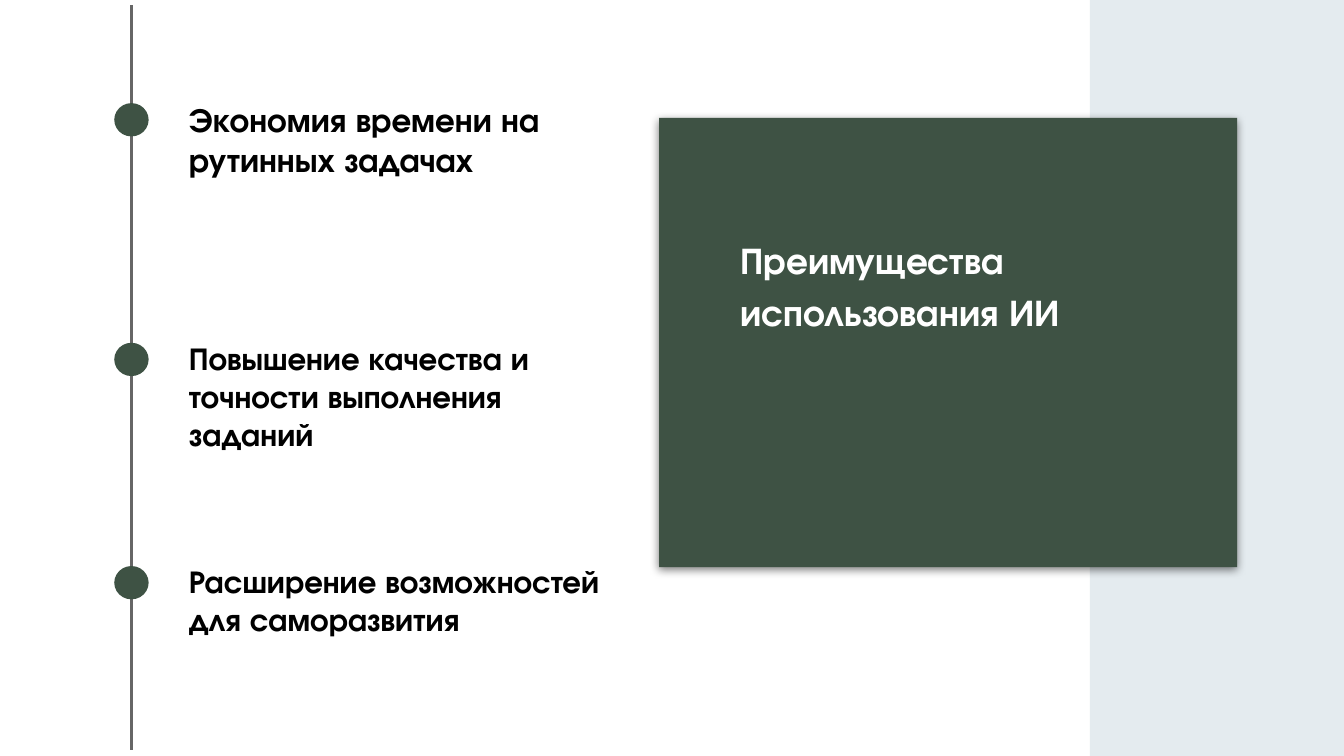
"""Build a slide listing the benefits of using AI along a vertical timeline."""
import pptx
import pptx.dml.color
import pptx.enum.shapes
import pptx.enum.text
import pptx.oxml
import pptx.oxml.ns
import pptx.util
from pptx.util import Cm

GREEN = "3E5244"
SHAPES = pptx.enum.shapes.MSO_SHAPE


def color(hex_string):
    return pptx.dml.color.RGBColor.from_string(hex_string)


def write(shape, text, size, text_color, line_spacing=1.0):
    frame = shape.text_frame
    frame.word_wrap = True
    frame.auto_size = pptx.enum.text.MSO_AUTO_SIZE.NONE
    frame.vertical_anchor = pptx.enum.text.MSO_ANCHOR.TOP
    frame.margin_left = frame.margin_right = Cm(0.25)
    frame.margin_top = frame.margin_bottom = Cm(0.25)
    frame.text = text
    paragraph = frame.paragraphs[0]
    paragraph.alignment = pptx.enum.text.PP_ALIGN.LEFT
    paragraph.line_spacing = line_spacing
    font = paragraph.runs[0].font
    font.name = "TeX Gyre Adventor"
    font.size = pptx.util.Pt(size)
    font.bold = True
    font.color.rgb = color(text_color)


presentation = pptx.Presentation()
presentation.slide_width = Cm(25.4)
presentation.slide_height = Cm(14.29)
slide = presentation.slides.add_slide(presentation.slide_layouts[5])
shapes = slide.shapes

side_band = shapes.add_shape(SHAPES.RECTANGLE, Cm(20.6), 0, Cm(4.8), Cm(14.29))
title_panel = shapes.add_shape(SHAPES.RECTANGLE, Cm(12.46), Cm(2.23), Cm(10.92), Cm(8.49))
for shape, fill in ((side_band, "E4EBEF"), (title_panel, GREEN)):
    shape.shadow.inherit = False
    shape.fill.solid()
    shape.fill.fore_color.rgb = color(fill)
    shape.line.fill.background()

panel_effects = title_panel.element.spPr.find(pptx.oxml.ns.qn("a:effectLst"))
panel_effects.append(pptx.oxml.parse_xml(
    f'<a:outerShdw {pptx.oxml.ns.nsdecls("a")} blurRad="57150" dist="19050" '
    'dir="5400000" algn="bl" rotWithShape="0">'
    '<a:srgbClr val="000000"><a:alpha val="50000"/></a:srgbClr></a:outerShdw>'))

timeline = shapes.add_connector(
    pptx.enum.shapes.MSO_CONNECTOR.STRAIGHT, Cm(2.48), Cm(0.1), Cm(2.48), Cm(14.18))
timeline.line.color.rgb = color("666666")
timeline.line.width = pptx.util.Pt(1.5)
timeline.element.spPr.append(
    pptx.oxml.parse_xml(f'<a:effectLst {pptx.oxml.ns.nsdecls("a")}/>'))

benefits = (
    (1.95, 1.27, 18, "Экономия времени на рутинных задачах"),
    (6.48, 1.96, 17, "Повышение качества и точности выполнения заданий"),
    (10.7, 1.96, 17, "Расширение возможностей для саморазвития"),
)
for top, height, size, text in benefits:
    dot = shapes.add_shape(SHAPES.OVAL, Cm(2.16), Cm(top), Cm(0.65), Cm(0.63))
    dot.shadow.inherit = False
    dot.fill.solid()
    dot.fill.fore_color.rgb = color(GREEN)
    dot.line.fill.background()
    label = shapes.add_textbox(Cm(3.32), Cm(top - 0.33), Cm(8.61), Cm(height))
    write(label, text, size, "000000")

title = shapes.title
title.left, title.top, title.width, title.height = Cm(13.74), Cm(4.09), Cm(8.33), Cm(4.37)
write(title, "Преимущества использования ИИ", 20, "FFFFFF", line_spacing=1.17)
shapes.element.append(title.element)

presentation.save("out.pptx")
